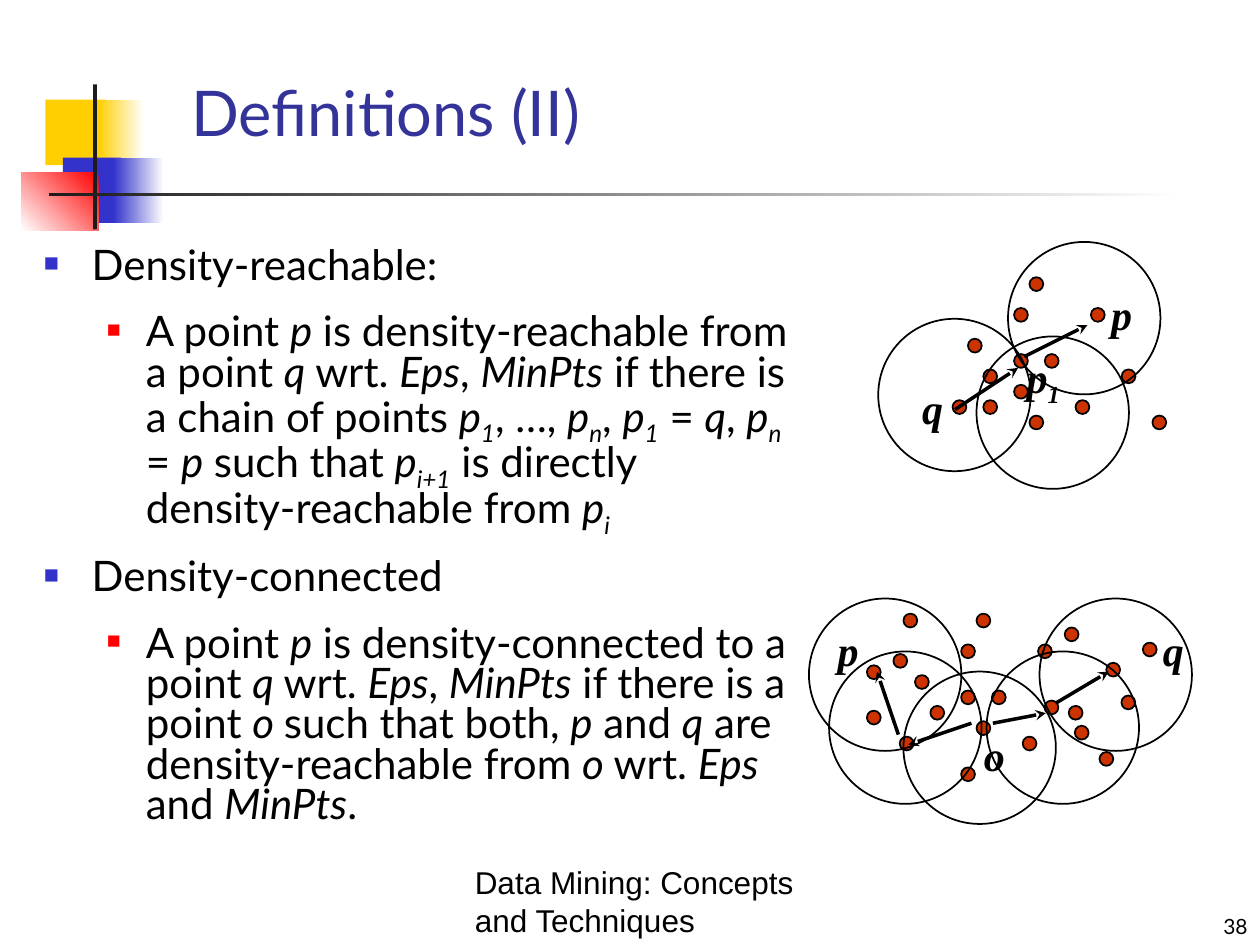
"""Build the slide on density-reachable and density-connected points."""
from lxml.etree import SubElement as Sub
from pptx import Presentation
from pptx.dml.color import RGBColor
from pptx.enum.shapes import MSO_CONNECTOR as Conn, MSO_SHAPE as Kind
from pptx.enum.text import MSO_ANCHOR as Anchor, PP_ALIGN as Align
from pptx.oxml.ns import qn
from pptx.util import Inches, Pt

WIDE, HIGH = 10, 7.5
STEP, DOT, RING = 0.122, 0.11, 1.21
SERIF = dict(font="Times New Roman", bold=True, before=15)

DECOR = [
    ((0.36, 0.79, 0.48, 0.52), ["FFCF01"], 0),
    ((0.78, 0.79, 0.36, 0.52), ["FFFFFF", "FFCF01"], 180),
    ((0.5, 1.25, 0.46, 0.52), ["3333CC"], 0),
    ((0.9, 1.25, 0.4, 0.52), ["FFFFFF", "3333CC"], 180),
    ((0.17, 1.37, 0.61, 0.46), ["FF0000", "FFFFFF"], 225),
    ((0.74, 0.67, 0.03, 1.15), ["1C1C1C"], 0),
    ((0.39, 1.53, 9, 0.03), ["FFFFFF", "1C1C1C"], 180),
]

BODY = [
    (0, "Density-reachable:"),
    (1, "A point *p* is density-reachable from a point *q* wrt. *Eps*, *MinPts* "
        "if there is a chain of points *p_1*, …, *p_n*, *p_1* = *q*, *p_n* = *p* "
        "such that *p_i+1* is directly density-reachable from *p_i*"),
    (0, "Density-connected"),
    (1, "A point *p* is density-connected to a point *q* wrt. *Eps*, *MinPts* "
        "if there is a point *o *such that both, *p* and *q* are "
        "density-reachable from *o* wrt. *Eps* and *MinPts*."),
]
LEVELS = [
    dict(left=0.38, hang=0.38, color="3333CC", size=60),
    dict(left=0.81, hang=0.31, color="FF0000", size=55),
]

REACH = dict(
    start=(7.56, 2.2),
    cells=[(1, 4), (4, 5), (4, 2), (0, 8), (2, 6), (2, 8), (5, 9), (5, 0),
           (11, 6), (9, 2), (4, 7), (6, 5), (8, 8), (13, 9)],
    free=[],
    rings=[(7.75, 2.67), (6.97, 2.53), (8, 1.92)],
    arrows=[(8.13, 2.83, 8.63, 2.58), (7.58, 3.25, 8.08, 2.92)],
    names=[("*p*", 8.72, 2.24, 0.42), ("*q*", 7.22, 2.99, 0.42),
           ("*p_1*", 8.05, 2.74, 0.67)],
)
LINKED = dict(
    start=(7.14, 4.87),
    cells=[(1, 4), (4, 5), (4, 2), (0, 8), (2, 6), (4, 10), (5, 7), (5, 0),
           (11, 6), (9, 2), (6, 5), (8, 8), (13, 9)],
    free=[(6.88, 5.64), (8.9, 5.52), (8.29, 5.56), (8.53, 5.76), (9.07, 5.1),
          (8.45, 4.98), (8.78, 5.26), (7.09, 5.19), (6.88, 5.28), (7.17, 4.87)],
    rings=[(6.58, 5.17), (7.17, 5.33), (7.83, 5.17), (8.25, 4.75), (6.42, 4.75)],
    arrows=[(7.71, 5.74, 7.21, 5.91), (7.88, 5.74, 8.3, 5.66),
            (7.13, 5.83, 6.96, 5.33), (8.38, 5.58, 8.8, 5.33)],
    names=[("*p*", 6.55, 4.91, 0.42), ("*q*", 9.13, 4.91, 0.42),
           ("*o*", 7.71, 5.74, 0.42)],
)


def rgb(code):
    return RGBColor.from_string(code)


def draw(slide, kind, box, fill=(), angle=0, line=None):
    shape = slide.shapes.add_shape(kind, *map(Inches, box))
    shape.shadow.inherit = False
    if len(fill) > 1:
        shape.fill.gradient()
        shape.fill.gradient_angle = angle
        for stop, code in zip(shape.fill.gradient_stops, fill):
            stop.color.rgb = rgb(code)
    elif fill:
        shape.fill.solid()
        shape.fill.fore_color.rgb = rgb(fill[0])
    else:
        shape.fill.background()
    if line:
        shape.line.color.rgb = rgb(line)
        shape.line.width = Pt(1)
    else:
        shape.line.fill.background()


def arrow(slide, ends):
    link = slide.shapes.add_connector(Conn.STRAIGHT, *map(Inches, ends))
    link.line.color.rgb = rgb("000000")
    link.line.width = Pt(2)
    Sub(link.line._get_or_add_ln(), qn("a:tailEnd"), type="stealth")
    Sub(link._element.spPr, qn("a:effectLst"))


def bullet(para, left, hang, color, size):
    props = para._p.get_or_add_pPr()
    props.set("marL", str(Inches(left)))
    props.set("indent", str(-Inches(hang)))
    Sub(Sub(props, qn("a:buClr")), qn("a:srgbClr"), val=color)
    Sub(props, qn("a:buSzPct"), val=str(size * 1000))
    Sub(props, qn("a:buFont"), typeface="Arial")
    Sub(props, qn("a:buChar"), char="■")


def write(para, text, font="Lato", size=24, color="000000", bold=False,
          before=0, space=None, align=Align.LEFT):
    """Fill a paragraph; *x* is italic and x_y inside it lowers y."""
    para.alignment = align
    para.space_before = Pt(before)
    if space:
        para.line_spacing = space
    for turn, part in enumerate(text.split("*")):
        for low, piece in enumerate(part.split("_")):
            if not piece:
                continue
            run = para.add_run()
            run.text = piece
            face = run.font
            face.name, face.size, face.bold = font, Pt(size), bold
            face.italic = turn % 2 == 1
            face.color.rgb = rgb(color)
            if low:
                run._r.get_or_add_rPr().set("baseline", "-25000")


def frame(slide, box, anchor=Anchor.TOP):
    text = slide.shapes.add_textbox(*map(Inches, box)).text_frame
    text.word_wrap = True
    text.vertical_anchor = anchor
    return text


def label(slide, text, box, anchor=Anchor.TOP, **style):
    write(frame(slide, box, anchor).paragraphs[0], text, **style)


def graph(slide, start, cells, free, rings, arrows, names):
    grid = [(start[0] + col * STEP, start[1] + row * STEP) for col, row in cells]
    for spot in grid + free:
        draw(slide, Kind.OVAL, (*spot, DOT, DOT), ["CC3300"], line="000000")
    for spot in rings:
        draw(slide, Kind.OVAL, (*spot, RING, RING), line="000000")
    for ends in arrows:
        arrow(slide, ends)
    for text, left, top, width in names:
        label(slide, text, (left, top, width, 0.5), **SERIF)


def main():
    deck = Presentation()
    deck.slide_width, deck.slide_height = Inches(WIDE), Inches(HIGH)
    slide = deck.slides.add_slide(deck.slide_layouts[6])
    for box, fill, angle in DECOR:
        draw(slide, Kind.RECTANGLE, box, fill, angle)
    label(slide, "Definitions (II)", (1.42, 0.42, 4.58, 0.92), Anchor.MIDDLE,
          size=36, color="333399")
    body = frame(slide, (0.25, 1.92, 6.17, 5.08))
    for index, (level, text) in enumerate(BODY):
        para = body.add_paragraph() if index else body.paragraphs[0]
        para.level = level
        write(para, text, before=15, space=0.8)
        bullet(para, **LEVELS[level])
    for part in (REACH, LINKED):
        graph(slide, **part)
    label(slide, "Data Mining: Concepts and Techniques", (3.67, 7.08, 3.17, 0.42),
          Anchor.BOTTOM, font="Arial", size=18)
    label(slide, "38", (7.92, 7.08, 2.08, 0.42), Anchor.BOTTOM, size=12,
          align=Align.RIGHT)
    deck.save("out.pptx")


if __name__ == "__main__":
    main()
